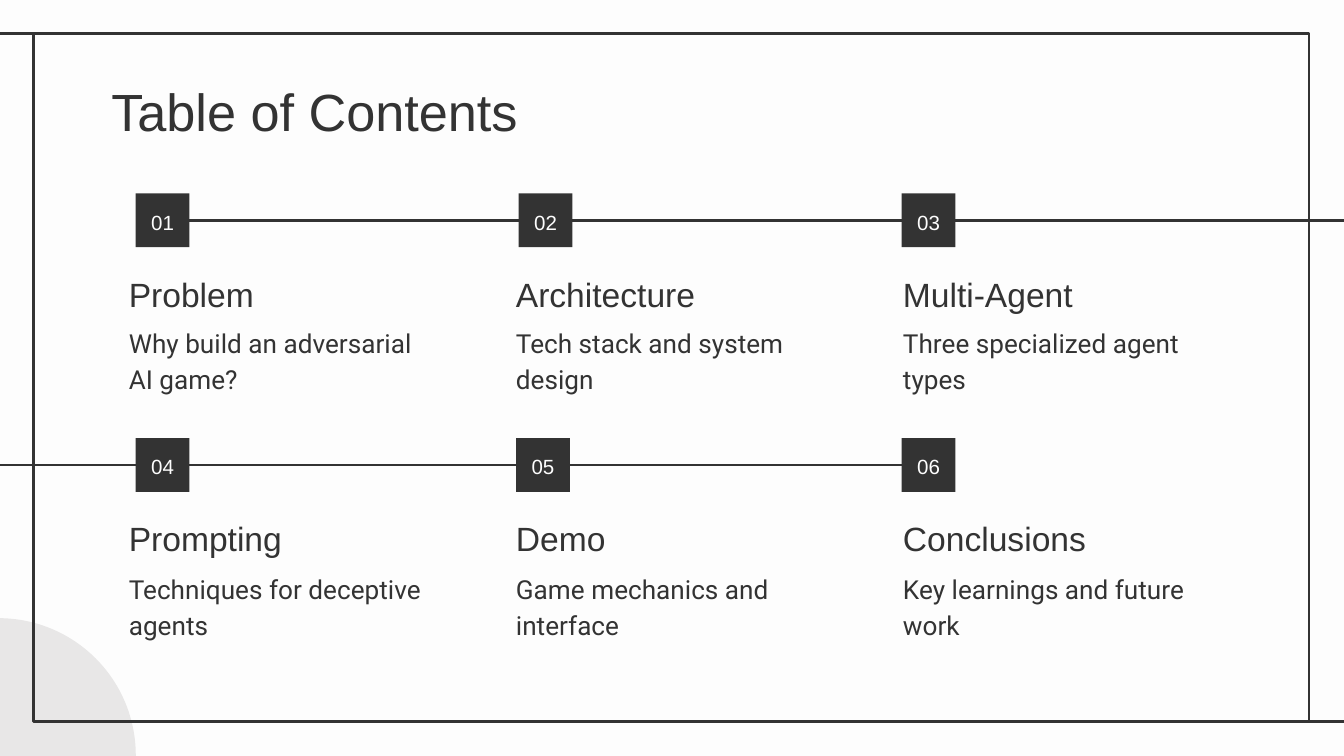
from typing import NamedTuple

from pptx import Presentation
from pptx.dml.color import RGBColor
from pptx.enum.shapes import MSO_CONNECTOR, MSO_SHAPE
from pptx.enum.text import MSO_ANCHOR, PP_ALIGN
from pptx.oxml.ns import qn
from pptx.util import Inches, Pt

WIDE = 10
HIGH = WIDE * 9 / 16
COLORS = {"paper": "FDFDFD", "ink": "333333", "mist": "E8E7E7"}
STYLES = {
    "title": {"size": Pt(28), "name": "Arial"},
    "badge": {"size": Pt(11), "name": "Arial"},
    "head": {"size": Pt(18), "name": "Arial"},
    "body": {"size": Pt(14), "name": "Roboto"},
}
LEFT, STEP = 0.86, 2.88  # text columns
SIDE = 0.4  # badge


class Box(NamedTuple):
    x: float
    y: float
    w: float
    h: float


class Row(NamedTuple):
    badge: float
    head: float
    body: float
    lefts: tuple


class Topic(NamedTuple):
    head: str
    body: str


ROWS = [
    Row(1.44, 2.02, 2.3, (1.01, 3.86, 6.71)),
    Row(3.26, 3.83, 4.13, (1.01, 3.84, 6.71)),
]
TOPICS = [
    Topic("Problem", "Why build an adversarial AI game?"),
    Topic("Architecture", "Tech stack and system design"),
    Topic("Multi-Agent", "Three specialized agent types"),
    Topic("Prompting", "Techniques for deceptive agents"),
    Topic("Demo", "Game mechanics and interface"),
    Topic("Conclusions", "Key learnings and future work"),
]


def tint(name: str) -> RGBColor:
    return RGBColor.from_string(COLORS[name])


def place(box: Box) -> list:
    return [Inches(v) for v in box]


def write(shape, text: str, style: str, color: str = "ink",
          anchor=MSO_ANCHOR.TOP, align=PP_ALIGN.LEFT, gap: float = 1.15) -> None:
    frame = shape.text_frame
    form = {"word_wrap": True, "vertical_anchor": anchor}
    form |= {f"margin_{s}": Inches(0.1) for s in ("left", "top", "right", "bottom")}
    for key, val in form.items():
        setattr(frame, key, val)
    para = frame.paragraphs[0]
    para.alignment, para.line_spacing = align, gap
    run = para.add_run()
    run.text = text
    for key, val in STYLES[style].items():
        setattr(run.font, key, val)
    run.font.color.rgb = tint(color)


def label(slide, box: Box, text: str, style: str, **form) -> None:
    write(slide.shapes.add_textbox(*place(box)), text, style, **form)


def block(slide, kind, box: Box, fill: str):
    """Draw a filled shape without outline."""
    shape = slide.shapes.add_shape(kind, *place(box))
    shape.shadow.inherit = False
    shape.fill.solid()
    shape.fill.fore_color.rgb = tint(fill)
    shape.line.fill.background()
    return shape


def pen(line) -> None:
    line.color.rgb, line.width = tint("ink"), Pt(1.5)


def rule(slide, start: float, end: float, y: float):
    """Draw a level line."""
    line = slide.shapes.add_connector(
        MSO_CONNECTOR.STRAIGHT, *place(Box(start, y, end, y)))
    pen(line.line)
    props = line._element.spPr
    props.append(props.makeelement(qn("a:effectLst"), {}))
    return line


def border(slide) -> None:
    block(slide, MSO_SHAPE.OVAL, Box(-1.03, 4.6, 2.04, 2.04), "mist")
    box = Box(0.25, 0.25, 9.49, 5.12)
    frame = slide.shapes.add_shape(MSO_SHAPE.RECTANGLE, *place(box))
    frame.shadow.inherit = False
    frame.fill.background()
    pen(frame.line)
    rule(slide, box.x, -0.02, box.y)
    rule(slide, WIDE + 0.03, box.x + box.w, box.y + box.h)


def topics(slide) -> None:
    upper, lower = ROWS
    last = rule(slide, lower.lefts[-1], -0.18, lower.badge + SIDE / 2)
    first = rule(slide, upper.lefts[0] + SIDE, WIDE + 0.17, upper.badge + SIDE / 2)
    badges = []
    for i, topic in enumerate(TOPICS):
        col, row = i % 3, ROWS[i // 3]
        x = LEFT + col * STEP
        badge = block(slide, MSO_SHAPE.RECTANGLE,
                      Box(row.lefts[col], row.badge, SIDE, SIDE), "ink")
        write(badge, f"{i + 1:02}", "badge", "paper",
              MSO_ANCHOR.MIDDLE, PP_ALIGN.CENTER)
        badges.append(badge)
        label(slide, Box(x, row.head, 2.52, 0.42), topic.head, "head",
              anchor=MSO_ANCHOR.BOTTOM)
        label(slide, Box(x, row.body, 2.52, 0.63), topic.body, "body")
    first.begin_connect(badges[0], 3)
    last.begin_connect(badges[-1], 1)


def main() -> None:
    deck = Presentation()
    deck.slide_width, deck.slide_height = Inches(WIDE), Inches(HIGH)
    slide = deck.slides.add_slide(deck.slide_layouts[6])
    slide.background.fill.solid()
    slide.background.fill.fore_color.rgb = tint("paper")
    border(slide)
    label(slide, Box(0.73, 0.49, 8.43, 0.63), "Table of Contents", "title", gap=1.0)
    topics(slide)
    deck.save("out.pptx")


if __name__ == "__main__":
    main()
